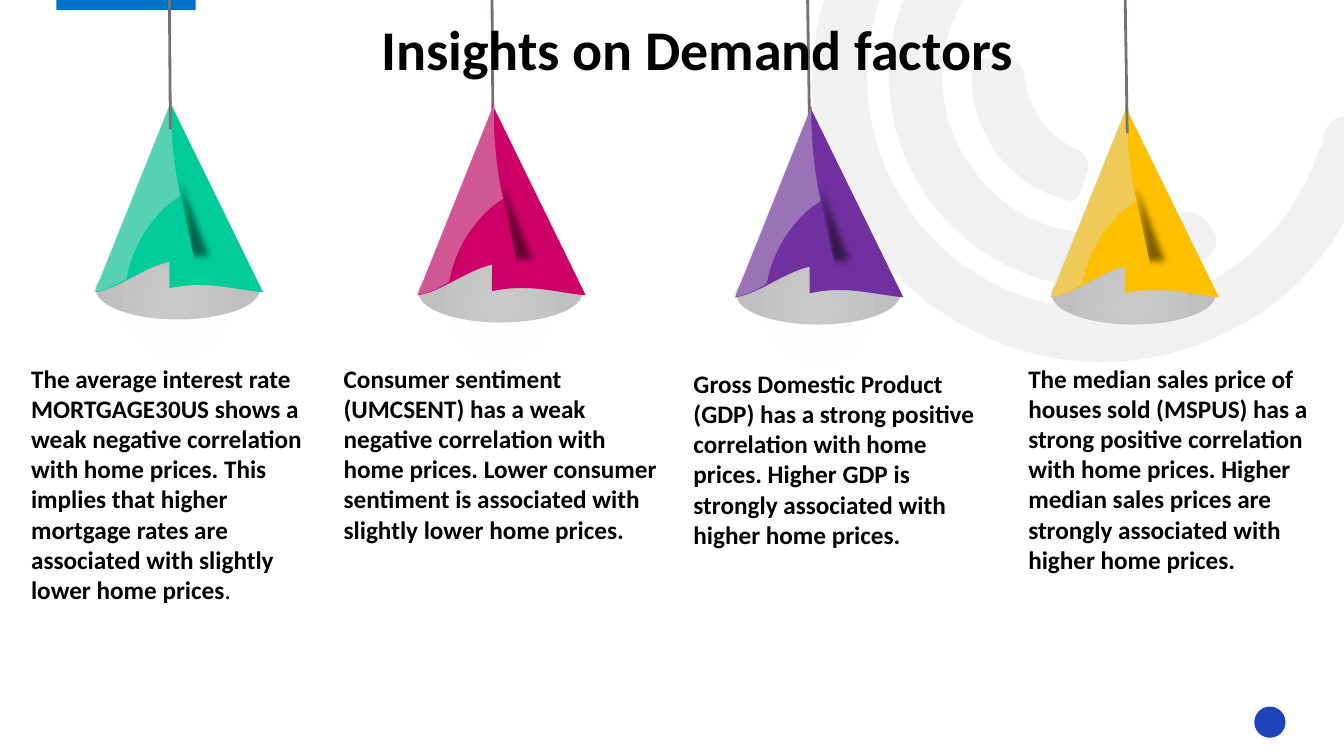
from lxml import etree
from pptx import Presentation
from pptx.dml.color import RGBColor
from pptx.enum.shapes import MSO_CONNECTOR, MSO_SHAPE
from pptx.enum.text import MSO_ANCHOR, MSO_AUTO_SIZE, PP_ALIGN
from pptx.oxml.ns import qn
from pptx.util import Pt

STRAIGHT = MSO_CONNECTOR.STRAIGHT
RECTANGLE, OVAL = MSO_SHAPE.RECTANGLE, MSO_SHAPE.OVAL
LEFT, TOP, NO_AUTOFIT = PP_ALIGN.LEFT, MSO_ANCHOR.TOP, MSO_AUTO_SIZE.NONE

SCALE = 9144  # EMU per px, 100 px to the inch
FONT = "Calibri"
COLORS = {
    "text": "000000", "shade": "000000", "rod": "767171", "mouth": "BFBFBF",
    "gloss": "D9D9D9", "glow": "FFFFFF", "arc": "E7E6E6",
    "tab": "0072C7", "dot": "1E44BC",
    "green": "00CC99", "pink": "CC0066", "purple": "7030A0", "yellow": "FFC000",
}

# Outlines: a start point, then lines (x, y) or curves (two controls, end)
ARCS = [
    [(851, 229), (799, 149, 787, 50, 838, -50), (890, -152, 976, -203, 1090, -207),
     (1105, -207, 1121, -210, 1131, -195), (1144, -175, 1127, -154, 1098, -154),
     (967, -154, 865, -59, 860, 68), (856, 181, 936, 281, 1046, 302),
     (1160, 324, 1270, 261, 1307, 152), (1309, 148, 1311, 144, 1312, 140),
     (1316, 119, 1327, 111, 1349, 117), (1373, 124, 1367, 141, 1361, 156),
     (1334, 245, 1278, 307, 1191, 341), (1070, 387, 936, 345, 851, 229)],
    [(922, 199), (862, 115, 869, 7, 940, -68), (951, -79, 962, -95, 980, -78),
     (995, -64, 997, -50, 979, -32), (925, 26, 920, 108, 965, 168),
     (1008, 229, 1088, 249, 1161, 215), (1182, 205, 1193, 212, 1203, 229),
     (1213, 250, 1197, 256, 1183, 263), (1096, 310, 983, 282, 922, 199)],
    [(987, 151), (975, 130, 964, 107, 964, 82), (964, 73, 961, 57, 976, 58),
     (992, 59, 1013, 53, 1016, 76), (1021, 110, 1036, 132, 1067, 148),
     (1088, 157, 1076, 176, 1072, 189), (1068, 206, 1055, 198, 1045, 194),
     (1021, 187, 1003, 170, 987, 151)],
]
# Lamp outlines are measured from the tip of the cone
CONE_RIGHT = [(0, 186), (0, 126, 1, 60, 0, 0), (93, 190), (62, 187, 36, 178, 0, 186)]
CONE_SHADE = [(14, 162), (14, 126, -6, 49, -6, 13), (53, 165),
              (40, 163, 29, 157, 14, 162)]
CONE_LEFT = [(25, 159), (13, 102, 1, 60, 2, 0), (-74, 190),
             (-44, 186, -11, 151, 25, 159)]
CONE_GLOSS = [(2, 0), (1, 30, 4, 55, 8, 80), (11, 94), (7, 97),
              (-4, 104, -15, 116, -25, 131), (-34, 146, -40, 162, -42, 174),
              (-43, 177), (-52, 182), (-60, 186, -68, 189, -76, 190), (2, 0)]

# Tip x, tip y, colour
LAMPS = [(168, 100, "green"), (488, 103, "pink"),
         (803, 105, "purple"), (1116, 105, "yellow")]
# Rod: top x, top y, bottom x, bottom y
BACK_RODS = [(488, 0, 489, 132), (801, 0, 803, 132)]
FRONT_RODS = [(168, -4, 169, 128), (1116, 0, 1118, 132)]

# Box, then runs of (text, bold)
INSIGHTS = [
    ((21, 355, 292, 252), [
        ("The average interest rate MORTGAGE30US shows a weak negative correlation "
         "with home prices. This implies that higher mortgage rates are associated "
         "with slightly lower home prices", True), (".", False)]),
    ((331, 355, 342, 192), [
        ("Consumer sentiment (UMCSENT) has a weak negative correlation with home "
         "prices. Lower consumer sentiment is associated with slightly lower home "
         "prices.", True)]),
    ((678, 360, 306, 222), [
        ("Gross Domestic Product (GDP) has a strong positive correlation with home "
         "prices. Higher GDP is strongly associated with higher home prices.", True)]),
    ((1010, 355, 312, 252), [
        ("The median sales price of houses sold (MSPUS) has a strong positive "
         "correlation with home prices. Higher median sales prices are strongly "
         "associated with higher home prices.", True)]),
]


def emu(*lengths):
    return [round(length * SCALE) for length in lengths]


def paint(shape, color, opacity=100):
    shape.shadow.inherit = False
    shape.line.fill.background()
    shape.fill.solid()
    shape.fill.fore_color.rgb = RGBColor.from_string(COLORS[color])
    if opacity < 100:
        tint = shape._element.spPr.find(qn("a:solidFill"))[0]
        etree.SubElement(tint, qn("a:alpha"), val=str(opacity * 1000))


def add_preset(slide, kind, box, color):
    shape = slide.shapes.add_shape(kind, *emu(*box))
    paint(shape, color)
    return shape


def add_outline(slide, outline, color, origin=(0, 0), opacity=100):
    placed = [emu(*(value + origin[index % 2] for index, value in enumerate(segment)))
              for segment in outline]
    builder = slide.shapes.build_freeform(*placed[0], scale=1.0)
    builder.add_line_segments([segment[-2:] for segment in placed[1:]], close=True)
    shape = builder.convert_to_shape()
    # Bend the straight segments that have control points
    lines = list(shape._element.iter(qn("a:lnTo")))
    for line, segment in zip(lines, placed[1:]):
        if len(segment) == 6:
            curve = etree.Element(qn("a:cubicBezTo"))
            for x, y in zip(segment[::2], segment[1::2]):
                etree.SubElement(curve, qn("a:pt"), x=str(x - shape.left),
                                 y=str(y - shape.top))
            line.getparent().replace(line, curve)
    paint(shape, color, opacity)
    return shape


def fade_to_edge(shape, color, opacity):
    properties = shape._element.spPr
    solid = properties.find(qn("a:solidFill"))
    gradient = etree.Element(qn("a:gradFill"), rotWithShape="1")
    stops = etree.SubElement(gradient, qn("a:gsLst"))
    for position, alpha in ((0, opacity), (100, 0)):
        stop = etree.SubElement(stops, qn("a:gs"), pos=str(position * 1000))
        tint = etree.SubElement(stop, qn("a:srgbClr"), val=COLORS[color])
        etree.SubElement(tint, qn("a:alpha"), val=str(alpha * 1000))
    center = etree.SubElement(gradient, qn("a:path"), path="circle")
    etree.SubElement(center, qn("a:fillToRect"), l="50000", t="50000",
                     r="50000", b="50000")
    properties.replace(solid, gradient)


def add_rod(slide, ends):
    rod = slide.shapes.add_connector(STRAIGHT, *emu(*ends))
    rod.line.color.rgb = RGBColor.from_string(COLORS["rod"])
    rod.line.width = Pt(2)
    etree.SubElement(rod._element.spPr, qn("a:effectLst"))


def add_lamp(slide, x, y, color):
    add_preset(slide, OVAL, (x - 73, y + 157, 163, 60), "mouth")
    glow = add_preset(slide, OVAL, (x - 47, y + 140, 110, 117), "glow")
    fade_to_edge(glow, "glow", 20)
    add_outline(slide, CONE_RIGHT, color, (x, y))
    shade = add_outline(slide, CONE_SHADE, "shade", (x, y), opacity=50)
    effects = shade._element.spPr.find(qn("a:effectLst"))
    etree.SubElement(effects, qn("a:softEdge"), rad="63500")
    add_outline(slide, CONE_LEFT, color, (x, y))
    add_outline(slide, CONE_GLOSS, "gloss", (x, y), opacity=40)


def write_text(shape, runs, size):
    frame = shape.text_frame
    frame.word_wrap = True
    frame.auto_size = NO_AUTOFIT
    frame.vertical_anchor = TOP
    paragraph = frame.paragraphs[0]
    paragraph.alignment = LEFT
    for text, bold in runs:
        run = paragraph.add_run()
        run.text = text
        run.font.name = FONT
        run.font.size = Pt(size)
        run.font.bold = bold
        run.font.color.rgb = RGBColor.from_string(COLORS["text"])


def add_title(slide, text, box):
    title = slide.shapes.title
    title.left, title.top, title.width, title.height = emu(*box)
    write_text(title, [(text, True)], size=40)
    # Bring the title in front of what is already drawn
    slide.shapes._spTree.append(title._element)


def main():
    presentation = Presentation()
    presentation.slide_width, presentation.slide_height = emu(1333, 750)
    slide = presentation.slides.add_slide(presentation.slide_layouts[5])

    # Backdrop
    for arc in ARCS:
        add_outline(slide, arc, "arc", opacity=53)
    add_preset(slide, RECTANGLE, (56, -2, 138, 12), "tab")
    add_preset(slide, OVAL, (1244, 701, 31, 31), "dot")

    # Title and hanging lamps
    for rod in BACK_RODS:
        add_rod(slide, rod)
    add_title(slide, "Insights on Demand factors", (368, 9, 675, 77))
    for lamp in LAMPS:
        add_lamp(slide, *lamp)
    for rod in FRONT_RODS:
        add_rod(slide, rod)

    # Insight under each lamp
    for box, runs in INSIGHTS:
        write_text(slide.shapes.add_textbox(*emu(*box)), runs, size=18)

    presentation.save("out.pptx")


if __name__ == "__main__":
    main()
